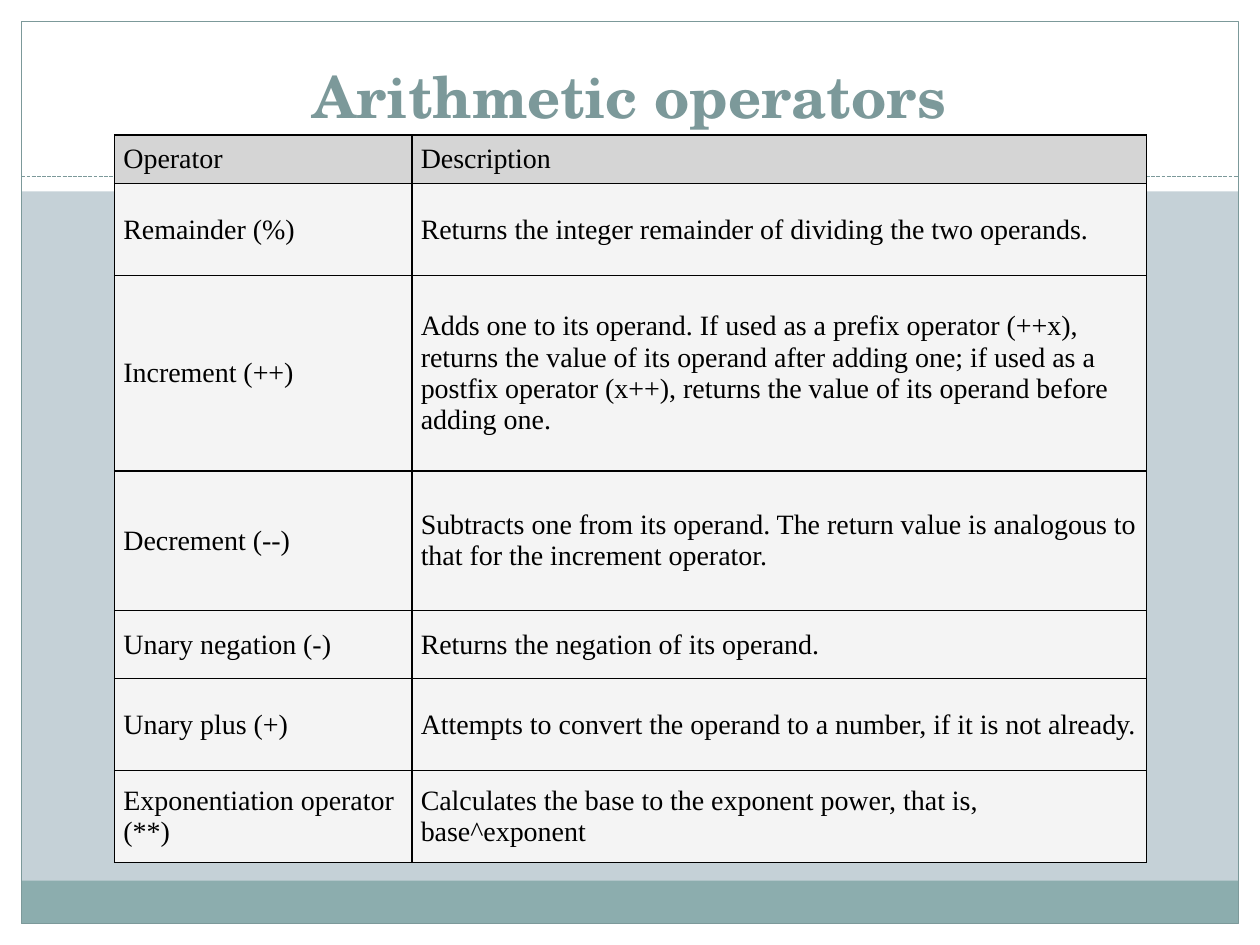
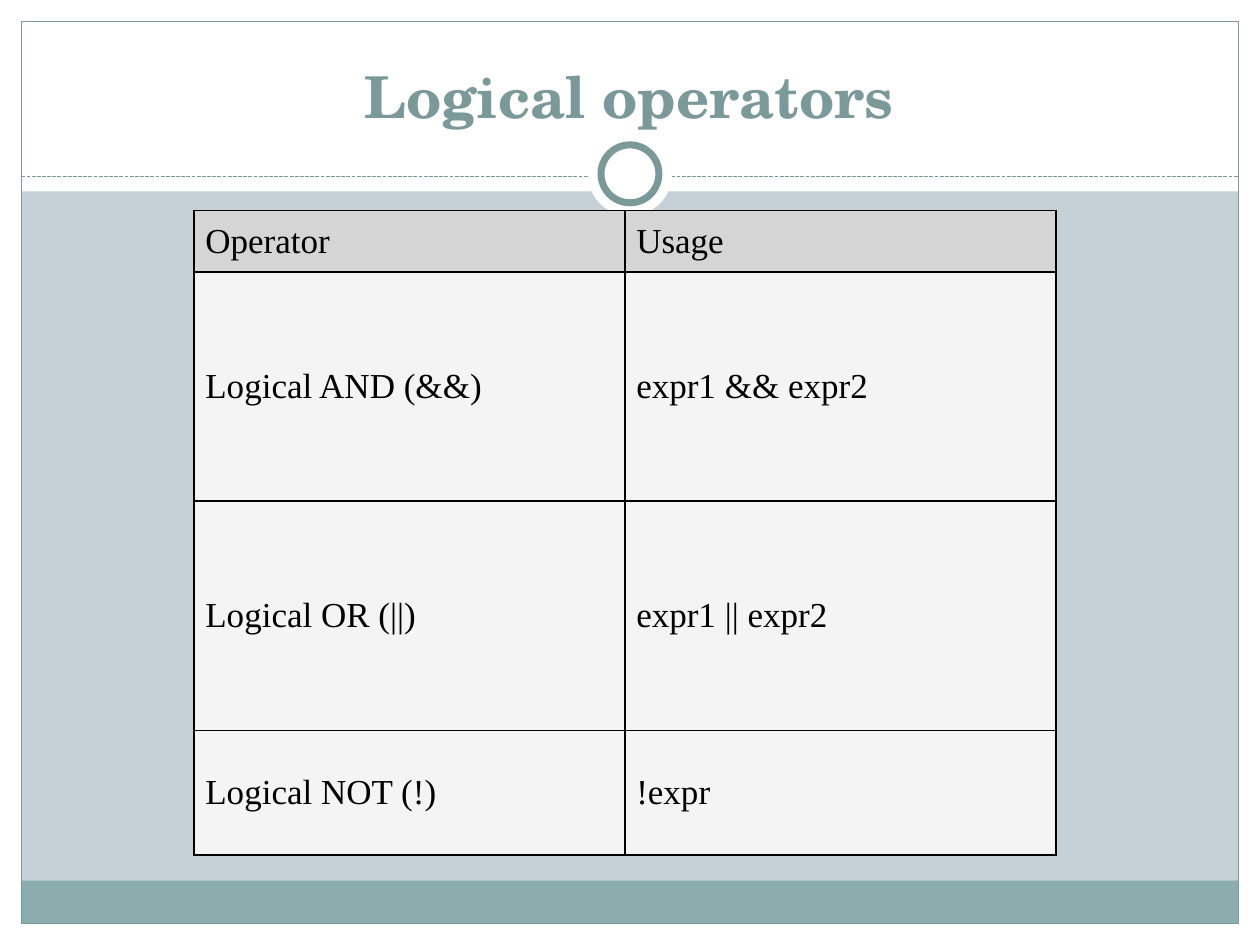
from collections import namedtuple

from lxml.etree import SubElement
from pptx import Presentation
from pptx.dml.color import RGBColor
from pptx.enum.dml import MSO_LINE
from pptx.enum.shapes import MSO_CONNECTOR, MSO_SHAPE
from pptx.enum.text import MSO_ANCHOR, MSO_AUTO_SIZE, PP_ALIGN
from pptx.oxml.ns import qn
from pptx.util import Inches, Pt

Box = namedtuple("Box", "left top width height")

SLIDE = Box(0, 0, 100, 75)
MARGIN = 1.7
HEADER_HEIGHT = 15.2
RULE_TOP = 14
FOOTER_HEIGHT = 3.4
TITLE_BOX = Box(3.3, 2.5, 93.3, 8.3)

WHITE, BLACK = "FFFFFF", "000000"
BACKDROP, BAND, ACCENT = "C5D1D7", "8CADAE", "7C999A"
HEAD_FILL, BODY_FILL = "D5D5D5", "F4F4F4"
TITLE_FONT, TABLE_FONT = "TeX Gyre Schola", "Times New Roman"

ARITHMETIC_ROWS = [
    ("Operator", "Description"),
    ("Remainder (%)", "Returns the integer remainder of dividing the two operands."),
    ("Increment (++)",
     "Adds one to its operand. If used as a prefix operator (++x), returns the value "
     "of its operand after adding one; if used as a postfix operator (x++), returns "
     "the value of its operand before adding one."),
    ("Decrement (--)",
     "Subtracts one from its operand. The return value is analogous to that for the "
     "increment operator."),
    ("Unary negation (-)", "Returns the negation of its operand."),
    ("Unary plus (+)",
     "Attempts to convert the operand to a number, if it is not already."),
    ("Exponentiation operator (**)",
     "Calculates the base to the exponent power, that is, base^exponent"),
]
LOGICAL_ROWS = [
    ("Operator", "Usage"),
    ("Logical AND (&&)", "expr1 && expr2"),
    ("Logical OR (||)", "expr1 || expr2"),
    ("Logical NOT (!)", "!expr"),
]


def grid(count):
    """Turn grid steps, of which a slide is 100 wide and 75 high, into a length."""
    return Inches(count / 10)


def color(code):
    """Turn a hex string into a colour."""
    return RGBColor.from_string(code)


def write(frame, text, font, size, ink, bold=False, align=PP_ALIGN.LEFT):
    """Put one formatted paragraph into a text frame."""
    para = frame.paragraphs[0]
    para.alignment = align
    span = para.add_run()
    span.text = text
    span.font.name = font
    span.font.size = Pt(size)
    span.font.bold = bold
    span.font.color.rgb = color(ink)


def draw(page, box, kind=MSO_SHAPE.RECTANGLE, fill=None, line=None, weight=0.75):
    """Draw a flat preset shape in the given box."""
    shape = page.shapes.add_shape(kind, *map(grid, box))
    shape.shadow.inherit = False
    if fill:
        shape.fill.solid()
        shape.fill.fore_color.rgb = color(fill)
    else:
        shape.fill.background()
    if line:
        shape.line.color.rgb = color(line)
        shape.line.width = Pt(weight)
    else:
        shape.line.fill.background()


def dashed_rule(page, left, right, top):
    """Draw the dashed line across the header."""
    rule = page.shapes.add_connector(
        MSO_CONNECTOR.STRAIGHT, grid(left), grid(top), grid(right), grid(top))
    rule.line.color.rgb = color(ACCENT)
    rule.line.width = Pt(0.75)
    rule.line.dash_style = MSO_LINE.SQUARE_DOT
    SubElement(rule.element.spPr, qn("a:effectLst"))


def circle(page, middle_x, middle_y, size, **look):
    """Draw a circle around a middle point."""
    box = Box(middle_x - size / 2, middle_y - size / 2, size, size)
    draw(page, box, kind=MSO_SHAPE.OVAL, **look)


def add_frame(page, box):
    """Draw the white margins, footer band, outline and header ring."""
    right, bottom = box.left + box.width, box.top + box.height
    inner = Box(box.left + MARGIN, box.top + MARGIN,
                box.width - 2 * MARGIN, box.height - 2 * MARGIN)
    page.background.fill.solid()
    page.background.fill.fore_color.rgb = color(BACKDROP)
    for edge in (
        Box(box.left, bottom - MARGIN, box.width, MARGIN),
        Box(box.left, box.top, box.width, HEADER_HEIGHT),
        Box(box.left, box.top, MARGIN, box.height),
        Box(right - MARGIN, box.top, MARGIN, box.height),
    ):
        draw(page, edge, fill=WHITE)
    draw(page, Box(inner.left, bottom - MARGIN - FOOTER_HEIGHT,
                   inner.width, FOOTER_HEIGHT), fill=BAND)
    draw(page, inner, line=ACCENT)
    dashed_rule(page, inner.left, inner.left + inner.width, box.top + RULE_TOP)
    ring = (box.left + box.width / 2, box.top + RULE_TOP - 0.2)
    circle(page, *ring, 6.7, fill=WHITE)
    circle(page, *ring, 4.6, fill=WHITE, line=ACCENT, weight=4)


def add_title(page, box, text):
    """Place the title placeholder in the box and in front of the frame."""
    title = page.shapes.title
    title.left, title.top, title.width, title.height = map(grid, box)
    frame = title.text_frame
    frame.word_wrap = True
    frame.auto_size = MSO_AUTO_SIZE.NONE
    frame.vertical_anchor = MSO_ANCHOR.BOTTOM
    write(frame, text, TITLE_FONT, 33, ACCENT, bold=True, align=PP_ALIGN.CENTER)
    title.element.getparent().append(title.element)


def style_cell(cell, fill, inset):
    """Give a cell its borders, fill, insets and anchor."""
    properties = cell._tc.get_or_add_tcPr()
    for side in ("a:lnL", "a:lnR", "a:lnT", "a:lnB"):
        border = SubElement(properties, qn(side), w=str(Pt(1)))
        solid = SubElement(border, qn("a:solidFill"))
        SubElement(solid, qn("a:srgbClr"), val=BLACK)
    cell.fill.solid()
    cell.fill.fore_color.rgb = color(fill)
    cell.margin_left = cell.margin_right = grid(inset)
    cell.margin_top = cell.margin_bottom = grid(inset)
    cell.vertical_anchor = MSO_ANCHOR.MIDDLE


def add_operator_table(page, box, rows, widths, heights, size, inset):
    """Fill the box with a bordered table whose first row is the heading."""
    table = page.shapes.add_table(len(rows), len(widths), *map(grid, box)).table
    table.horz_banding = False
    for column, width in zip(table.columns, widths):
        column.width = grid(width)
    for row, height in zip(table.rows, heights):
        row.height = grid(height)
    for row_index, texts in enumerate(rows):
        for column_index, text in enumerate(texts):
            cell = table.cell(row_index, column_index)
            style_cell(cell, BODY_FILL if row_index else HEAD_FILL, inset)
            write(cell.text_frame, text, TABLE_FONT, size, BLACK)


def add_operator_slide(deck, title, box, **table):
    """Add a slide with the shared frame, a title and an operator table."""
    page = deck.slides.add_slide(deck.slide_layouts.get_by_name("Title Only"))
    add_frame(page, SLIDE)
    add_title(page, TITLE_BOX, title)
    add_operator_table(page, box, **table)


def main():
    """Build and save the deck."""
    deck = Presentation()
    deck.slide_width, deck.slide_height = grid(SLIDE.width), grid(SLIDE.height)
    add_operator_slide(
        deck, "Arithmetic operators", Box(9.1, 10.7, 81.9, 57.9),
        rows=ARITHMETIC_ROWS, widths=(23.6, 58.3),
        heights=(3.5, 7.3, 15.5, 11.1, 5.4, 7.3, 7.3), size=16, inset=0.7)
    add_operator_slide(
        deck, "Logical operators", Box(15.4, 16.7, 68.4, 51.3),
        rows=LOGICAL_ROWS, widths=(34.2, 34.2),
        heights=(3.8, 18.2, 18.2, 9.9), size=20, inset=0.9)
    deck.save("out.pptx")


if __name__ == "__main__":
    main()
